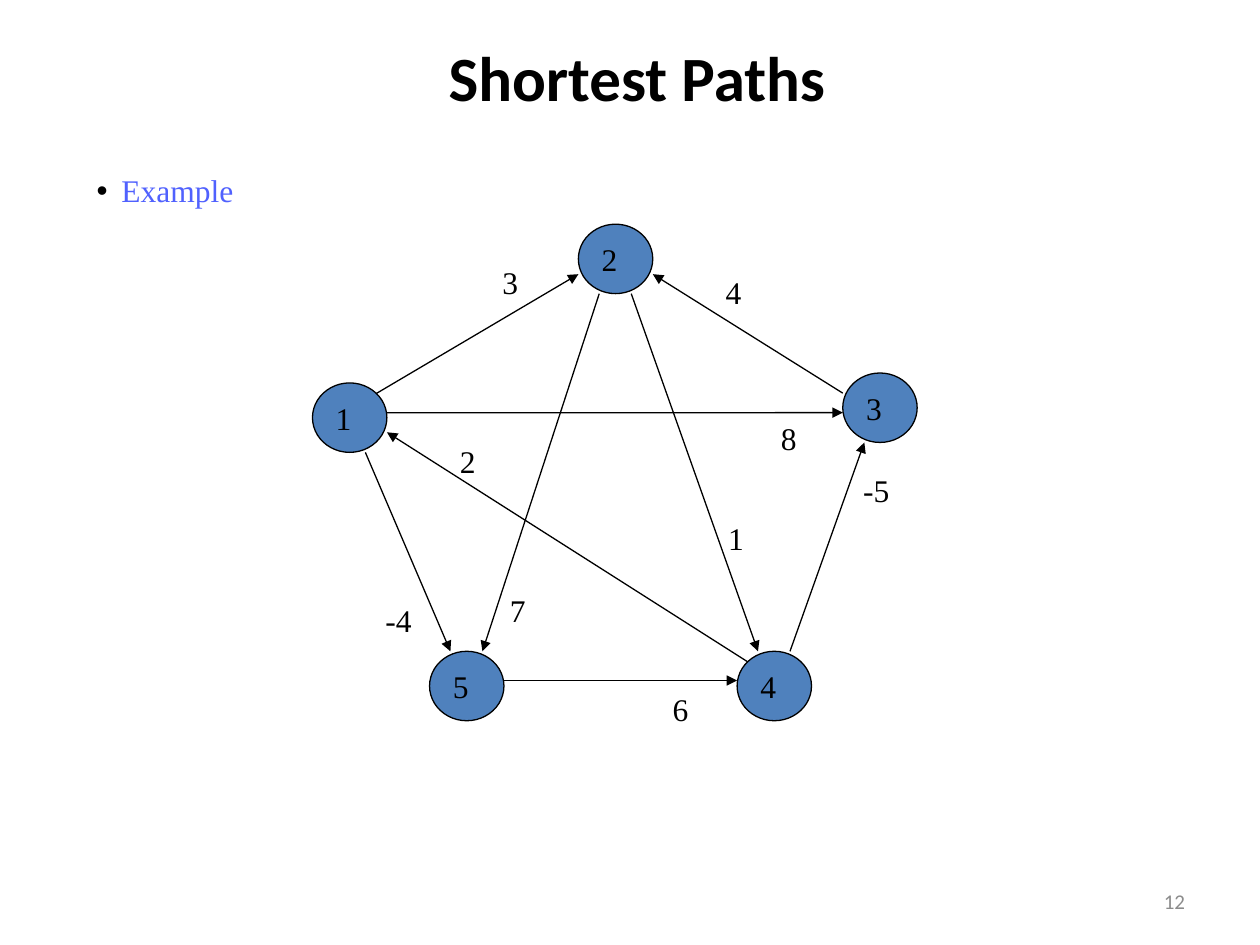
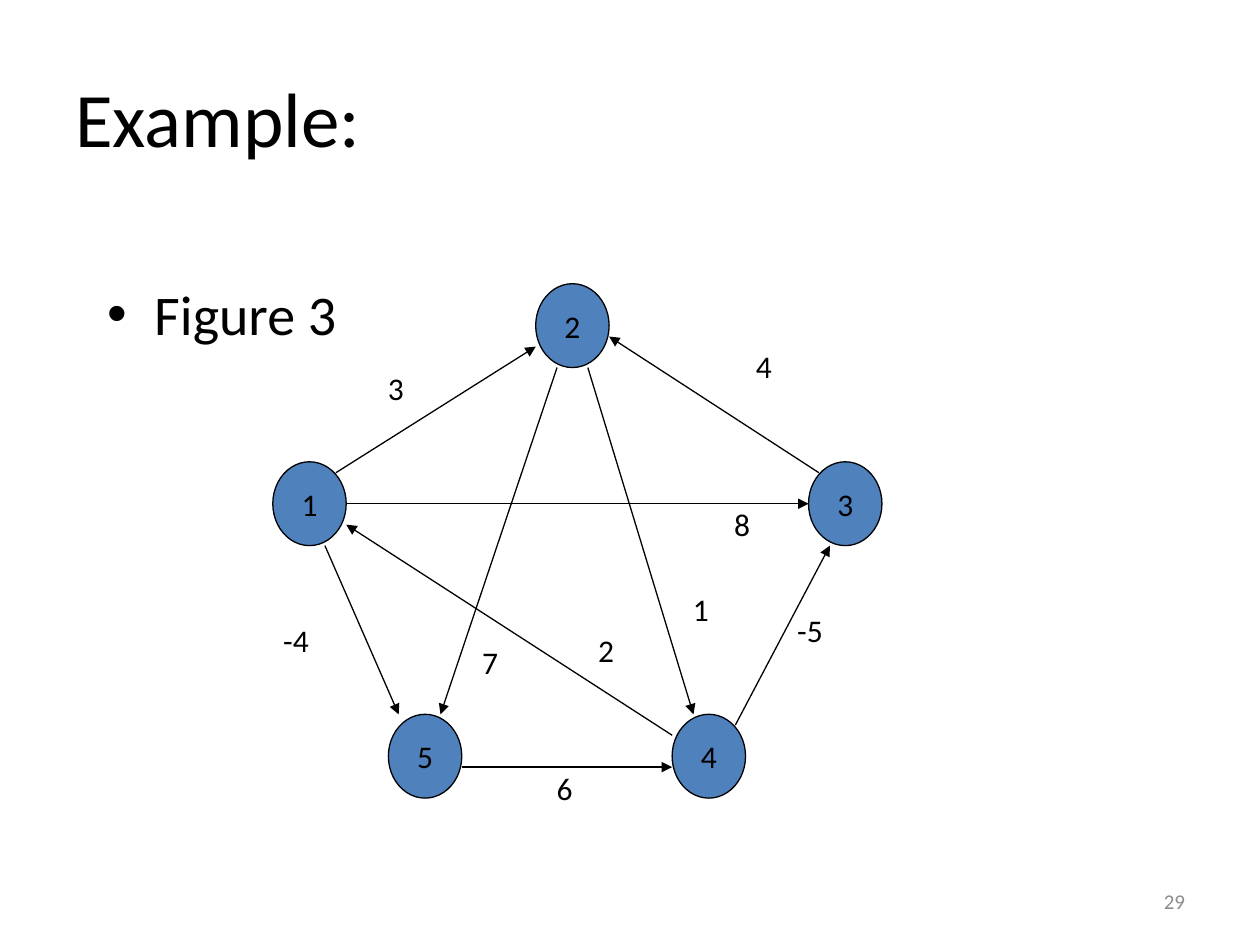
"""Build two slides that show a weighted directed graph for shortest paths."""
import pptx
import pptx.util
import pptx.dml.color
import pptx.enum.shapes
import pptx.enum.text
import pptx.oxml
import pptx.oxml.ns

Cm, Pt = pptx.util.Cm, pptx.util.Pt
ALIGN = pptx.enum.text.PP_ALIGN
ANCHOR = pptx.enum.text.MSO_ANCHOR
AUTO = pptx.enum.text.MSO_AUTO_SIZE

BLACK, NODE_BLUE, EXAMPLE_BLUE, GREY = "000000", "4F81BD", "5061FE", "8C8C8C"
SANS, SERIF = "Calibri", "Times New Roman"
LINE_WIDTH = 0.75
NUMBER_BOX = (18.21, 17.65, 5.93, 1.02)

WEIGHTS = {
    (1, 2): "3", (3, 2): "4", (4, 3): "-5", (5, 4): "6", (1, 5): "-4",
    (2, 5): "7", (2, 4): "1", (4, 1): "2", (1, 3): "8",
}

# Node places are top-left corners; edge ends are fractions of the node box.
SLIDES = [
    {
        "number": "12",
        "title": ("Shortest Paths", (1.41, 0.76, 22.86, 1.55),
                  {"size": Pt(36), "bold": True}, ALIGN.CENTER),
        "bullet": ("Example", (1.7, 3.33, 3.66, 1.09), 0.5,
                   {"size": Pt(18), "name": SERIF}, EXAMPLE_BLUE),
        "font": SERIF,
        "node_align": ALIGN.LEFT,
        "node_size": (1.5, 1.4),
        "nodes": {1: (6.3, 7.72), 2: (11.66, 4.52), 3: (16.99, 7.52),
                  4: (14.86, 13.13), 5: (8.66, 13.13)},
        "label_size": (0.44, 0.2, 1.02),
        "edges": {
            (1, 2): ((0.86, 0.15), (0, 0.72), (9.88, 5.18)),
            (3, 2): ((0, 0.29), (1, 0.72), (14.38, 5.38)),
            (4, 3): ((0.71, 0), (0.29, 1), (17.15, 9.37)),
            (5, 4): ((1, 0.42), (0, 0.42), (13.31, 13.79)),
            (1, 5): ((0.71, 1), (0.28, 0), (7.52, 11.99)),
            (2, 5): ((0.28, 1), (0.71, 0), (10.03, 11.79)),
            (2, 4): ((0.71, 1), (0.28, 0), (14.43, 10.34)),
            (4, 1): ((0.14, 0.15), (1, 0.71), (9.02, 8.79)),
            (1, 3): ((1, 0.43), (0, 0.57), (15.49, 8.33)),
        },
    },
    {
        "number": "29",
        "title": ("Example:", (1.27, 0.76, 22.86, 3.18),
                  {"size": Pt(44)}, ALIGN.LEFT),
        "bullet": ("Figure 3", (1.91, 5.51, 21.8, 11.22), 0.95,
                   {"size": Pt(32), "name": SANS}, BLACK),
        "font": SANS,
        "node_align": ALIGN.CENTER,
        "node_size": (1.48, 1.69),
        "nodes": {1: (5.5, 9.31), 2: (10.8, 5.72), 3: (16.3, 9.31),
                  4: (13.55, 14.4), 5: (7.83, 14.4)},
        "label_size": (0.66, 0.28, 1.27),
        "edges": {
            (1, 2): ((0.86, 0.13), (0, 0.75), (7.57, 7.32)),
            (3, 2): ((0.14, 0.13), (1, 0.63), (14.99, 6.88)),
            (4, 3): ((0.86, 0.13), (0.29, 1), (15.82, 12.19)),
            (5, 4): ((1, 0.63), (0, 0.63), (10.97, 15.37)),
            (1, 5): ((0.71, 1), (0.14, 0), (5.46, 12.4)),
            (2, 5): ((0.29, 1), (0.71, 0), (9.47, 12.83)),
            (2, 4): ((0.71, 1), (0.29, 0), (13.72, 11.76)),
            (4, 1): ((0, 0.25), (1, 0.75), (11.81, 12.6)),
            (1, 3): ((1, 0.5), (0, 0.5), (14.55, 10.06)),
        },
    },
]


def rgb(value):
    """Turn a hex string into a colour."""
    return pptx.dml.color.RGBColor.from_string(value)


def add_xml(parent, tag, **attrs):
    """Append a drawing element to parent and return it."""
    el = pptx.oxml.parse_xml(f"<a:{tag} {pptx.oxml.ns.nsdecls('a')}/>")
    for key, value in attrs.items():
        el.set(key, value)
    parent.append(el)
    return el


def set_text(sp, text, font, color=BLACK, align=ALIGN.LEFT, **frame):
    """Write one formatted paragraph and return it."""
    tf = sp.text_frame
    for key, value in {"word_wrap": True, **frame}.items():
        setattr(tf, key, value)
    p = tf.paragraphs[0]
    p.alignment = align
    r = p.add_run()
    r.text = text
    for key, value in {"name": SANS, **font}.items():
        setattr(r.font, key, value)
    r.font.color.rgb = rgb(color)
    return p


def add_text(s, box, text, font, color=BLACK, align=ALIGN.LEFT, **frame):
    """Add a text box and return its paragraph."""
    sp = s.shapes.add_textbox(*map(Cm, box))
    return set_text(sp, text, font, color, align, **frame)


def add_bullet(s, text, box, indent, font, color):
    """Add a one-line list with a black bullet and a hanging indent."""
    p = add_text(s, box, text, font, color)
    ppr = p._p.get_or_add_pPr()
    ppr.set("marL", str(Cm(indent)))
    ppr.set("indent", str(-Cm(indent)))
    add_xml(add_xml(ppr, "buClr"), "srgbClr", val=BLACK)
    add_xml(ppr, "buFont", typeface="Arial")
    add_xml(ppr, "buChar", char="•")


def add_node(s, place, size, text, font, align):
    """Add a numbered graph node."""
    oval = pptx.enum.shapes.MSO_SHAPE.OVAL
    sp = s.shapes.add_shape(oval, *map(Cm, place + size))
    sp.shadow.inherit = False
    sp.fill.solid()
    sp.fill.fore_color.rgb = rgb(NODE_BLUE)
    sp.line.color.rgb = rgb(BLACK)
    sp.line.width = Pt(LINE_WIDTH)
    set_text(sp, text, font, align=align, word_wrap=False,
             vertical_anchor=ANCHOR.MIDDLE)


def add_edge(s, start, end):
    """Add an arrow between two points."""
    straight = pptx.enum.shapes.MSO_CONNECTOR.STRAIGHT
    sp = s.shapes.add_connector(straight, *map(Cm, start + end))
    sp.line.color.rgb = rgb(BLACK)
    sp.line.width = Pt(LINE_WIDTH)
    add_xml(sp.line._get_or_add_ln(), "tailEnd", type="triangle")
    add_xml(sp._element.spPr, "effectLst")


def add_graph(s, graph):
    """Draw the nodes, the arrows and their weights."""
    nodes, size = graph["nodes"], graph["node_size"]
    font = {"size": Pt(18), "name": graph["font"]}
    base, per_char, height = graph["label_size"]

    def point(node, part):
        """Find a point given as a fraction of a node box."""
        return tuple(a + f * b for a, f, b in zip(nodes[node], part, size))

    for node, place in nodes.items():
        add_node(s, place, size, str(node), font, graph["node_align"])
    for (tail, head), (start, end, place) in graph["edges"].items():
        add_edge(s, point(tail, start), point(head, end))
        weight = WEIGHTS[tail, head]
        width = base + per_char * len(weight) + 0.2
        add_text(s, place + (width, height), weight, font, word_wrap=False,
                 auto_size=AUTO.SHAPE_TO_FIT_TEXT)


def main():
    """Build and save the slides."""
    prs = pptx.Presentation()
    prs.slide_width, prs.slide_height = Cm(25.4), Cm(19.05)
    for content in SLIDES:
        s = prs.slides.add_slide(prs.slide_layouts[6])
        title, box, font, align = content["title"]
        add_text(s, box, title, font, align=align,
                 vertical_anchor=ANCHOR.MIDDLE)
        add_bullet(s, *content["bullet"])
        add_graph(s, content)
        add_text(s, NUMBER_BOX, content["number"], {"size": Pt(12)}, GREY,
                 ALIGN.RIGHT, vertical_anchor=ANCHOR.MIDDLE)
    prs.save("out.pptx")


if __name__ == "__main__":
    main()
